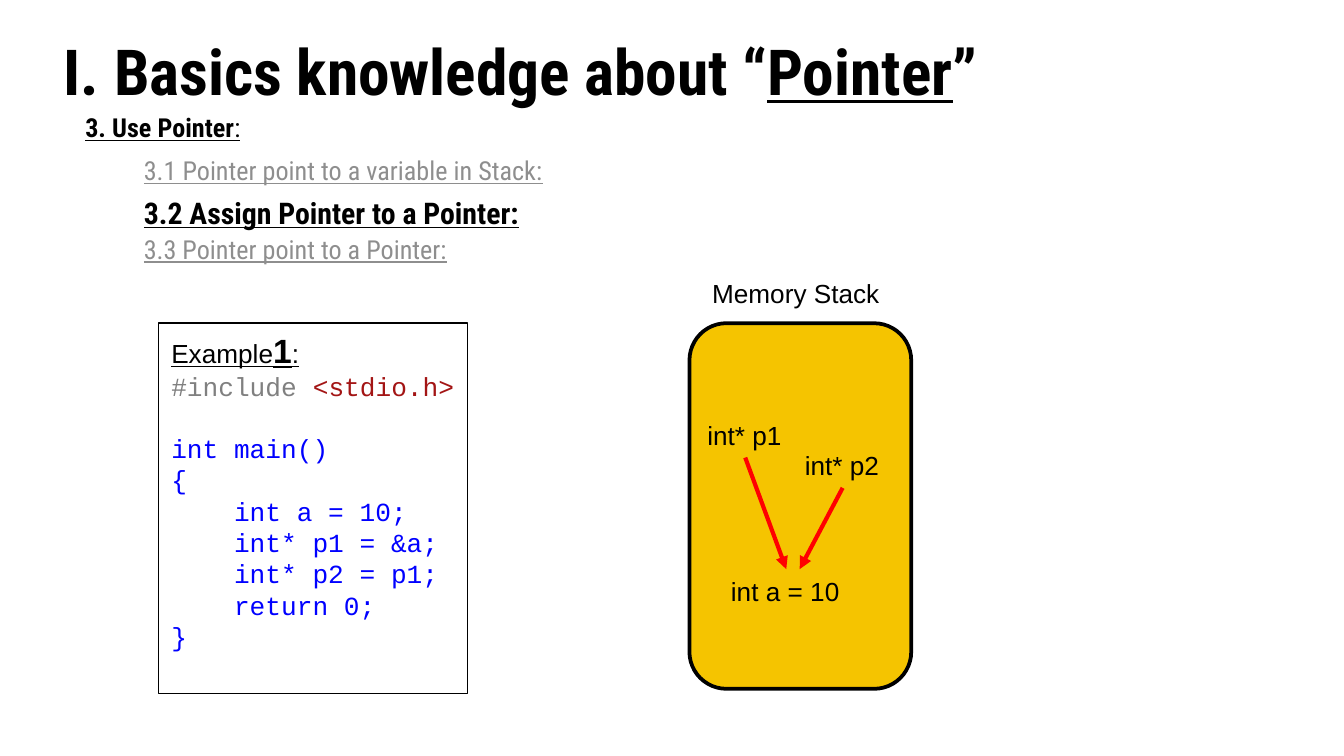
import pptx
import pptx.dml.color
import pptx.enum.shapes
import pptx.enum.text
import pptx.oxml
import pptx.oxml.ns
import pptx.util

PX = 4572
COLORS = {
    "black": "000000",
    "white": "FFFFFF",
    "faded": "8E8E8E",
    "directive": "808080",
    "header": "A31515",
    "code": "0000FF",
    "stack": "F5C400",
    "arrow": "FF0000",
}
ALIGN = pptx.enum.text.PP_ALIGN
SHAPES = pptx.enum.shapes.MSO_SHAPE


def rgb(name):
    return pptx.dml.color.RGBColor.from_string(COLORS[name])


def write(box, lines, size=14, font="Arial", color="black", bold=False, underline=False,
          align=ALIGN.LEFT, spacing=1.0, insets=(20, 10, 20, 10), wrap=True,
          anchor=pptx.enum.text.MSO_ANCHOR.TOP):
    frame = box.text_frame
    frame.auto_size = pptx.enum.text.MSO_AUTO_SIZE.NONE
    frame.word_wrap = wrap
    frame.vertical_anchor = anchor
    frame.margin_left, frame.margin_top, frame.margin_right, frame.margin_bottom = [
        inset * PX for inset in insets]
    for index, spans in enumerate(lines):
        para = frame.paragraphs[0] if index == 0 else frame.add_paragraph()
        para.alignment = align
        para.line_spacing = spacing
        for text, changes in spans:
            look = {"size": size, "font": font, "color": color, "bold": bold,
                    "underline": underline, **changes}
            span = para.add_run()
            span.text = text
            span.font.size = pptx.util.Pt(look["size"])
            span.font.name = look["font"]
            span.font.bold = look["bold"]
            span.font.underline = look["underline"]
            span.font.color.rgb = rgb(look["color"])


deck = pptx.Presentation()
deck.slide_width = 2000 * PX
deck.slide_height = 1125 * PX
page = deck.slides.add_slide(deck.slide_layouts[5])
page.background.fill.solid()
page.background.fill.fore_color.rgb = rgb("white")

title = page.shapes.title
title.left, title.top, title.width, title.height = 80 * PX, 52 * PX, 1638 * PX, 118 * PX
write(title, [[("I. Basics knowledge about “", {}), ("Pointer", {"underline": True}), ("”", {})]],
      size=34, font="Roboto Condensed", bold=True, spacing=0.9, insets=(15, 8, 15, 8),
      anchor=pptx.enum.text.MSO_ANCHOR.MIDDLE)

current = {"size": 16, "color": "black", "bold": True}
headings = [
    (112, 151, 288, [("3. Use Pointer", {"color": "black", "bold": True}), (":", {"color": "black"})]),
    (199, 215, 662, [("3.1 Pointer point to a variable in Stack:", {})]),
    (199, 274, 662, [("3.2 Assign Pointer to a Pointer:", current)]),
    (199, 332, 540, [("3.3 Pointer point to a Pointer:", {})]),
]
for left, top, width, spans in headings:
    heading = page.shapes.add_textbox(left * PX, top * PX, width * PX, 76 * PX)
    write(heading, [spans], font="Roboto Condensed", color="faded", underline=True,
          align=ALIGN.JUSTIFY, spacing=1.15, insets=(15, 8, 15, 8))

example = page.shapes.add_shape(SHAPES.RECTANGLE, 236 * PX, 481 * PX, 460 * PX, 551 * PX)
example.shadow.inherit = False
example.fill.background()
example.line.color.rgb = rgb("black")
example.line.width = pptx.util.Pt(0.75)
caption = {"font": "Arial", "color": "black", "underline": True}
code = [
    "int main()",
    "{",
    "    int a = 10;",
    "    int* p1 = &a;",
    "    int* p2 = p1;",
    "    return 0;",
    "}",
]
write(example, [
    [("Example", caption), ("1", {**caption, "size": 18, "bold": True}), (":", caption)],
    [("#include ", {"color": "directive"}), ("<stdio.h>", {"color": "header"})],
    *[[(line, {})] for line in code],
], font="Courier New", color="code", insets=(19, 10, 10, 10))
example.text_frame.paragraphs[2].space_before = pptx.util.Pt(16.5)

stack = page.shapes.add_shape(SHAPES.ROUNDED_RECTANGLE, 1026 * PX, 481 * PX, 330 * PX, 544 * PX)
stack.shadow.inherit = False
stack.fill.solid()
stack.fill.fore_color.rgb = rgb("stack")
stack.line.color.rgb = rgb("black")
stack.line.width = pptx.util.Pt(2)

labels = [
    ("Memory Stack", 1040, 403, 302, True),
    ("int a = 10", 1068, 847, 204, True),
    ("int* p1", 1033, 614, 152, False),
    ("int* p2", 1178, 659, 152, False),
]
for text, left, top, width, wrap in labels:
    label = page.shapes.add_textbox(left * PX, top * PX, width * PX, 67 * PX)
    write(label, [[(text, {})]], wrap=wrap)

for start_x, start_y, end_x in [(1109, 681, 1170), (1254, 726, 1190)]:
    arrow = page.shapes.add_connector(pptx.enum.shapes.MSO_CONNECTOR.STRAIGHT,
                                      start_x * PX, start_y * PX, end_x * PX, 847 * PX)
    arrow.line.color.rgb = rgb("arrow")
    arrow.line.width = pptx.util.Pt(2.25)
    head = pptx.oxml.parse_xml(f'<a:tailEnd {pptx.oxml.ns.nsdecls("a")} type="triangle"/>')
    arrow.line._get_or_add_ln().append(head)
    effects = pptx.oxml.parse_xml(f'<a:effectLst {pptx.oxml.ns.nsdecls("a")}/>')
    arrow._element.spPr.append(effects)

deck.save("out.pptx")
